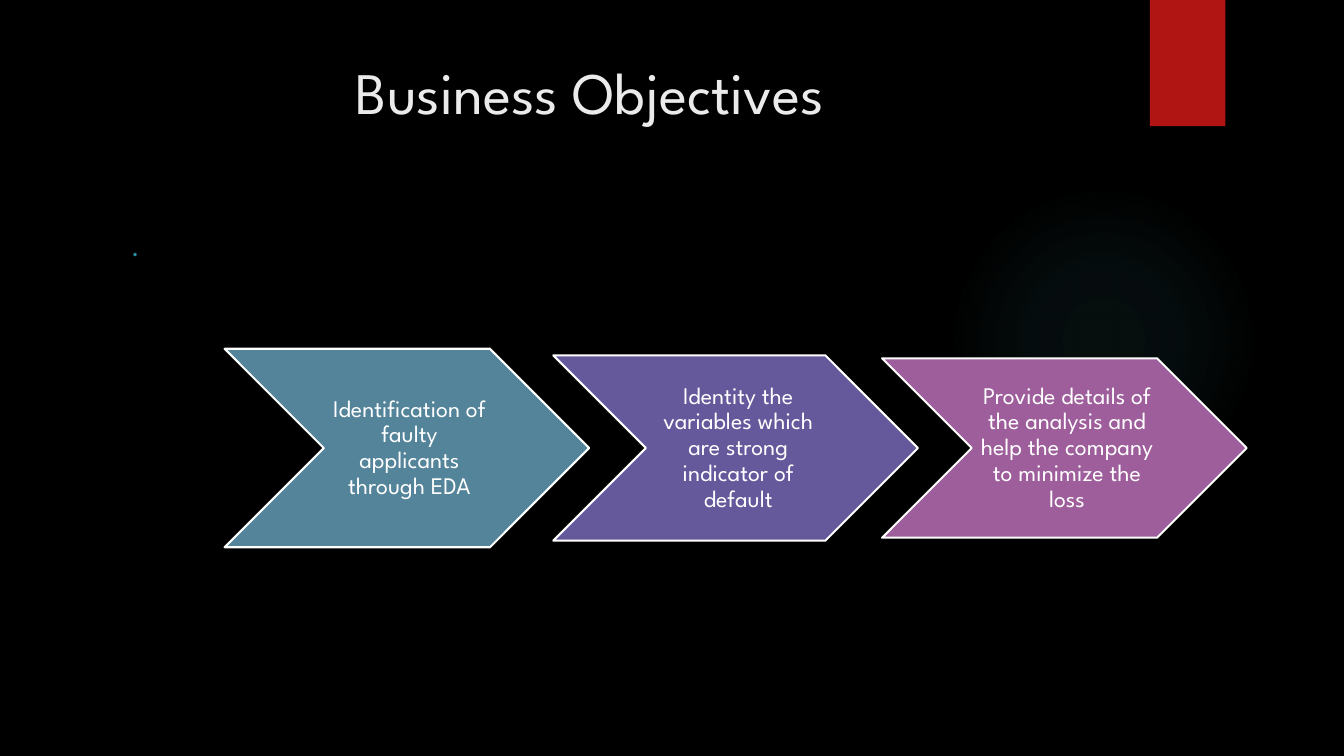
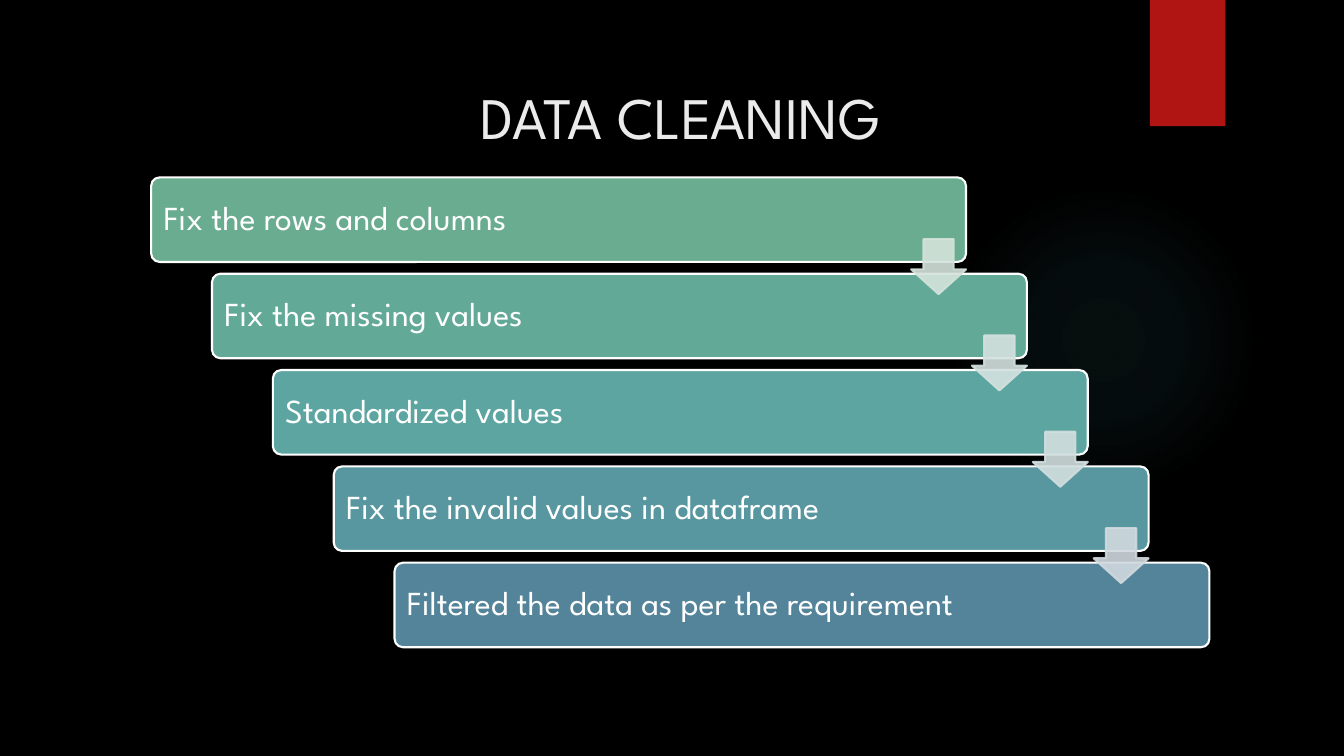
from lxml import etree
from pptx import Presentation
from pptx.dml.color import RGBColor
from pptx.enum.shapes import MSO_SHAPE
from pptx.enum.text import MSO_ANCHOR, PP_ALIGN
from pptx.oxml import parse_xml
from pptx.oxml.ns import nsdecls, qn
from pptx.util import Cm, Pt

CHEVRON, STEP, ARROW = MSO_SHAPE.CHEVRON, MSO_SHAPE.ROUNDED_RECTANGLE, MSO_SHAPE.DOWN_ARROW
OVAL, RECTANGLE = MSO_SHAPE.OVAL, MSO_SHAPE.RECTANGLE
TOP, MIDDLE = MSO_ANCHOR.TOP, MSO_ANCHOR.MIDDLE
LEFT, CENTER = PP_ALIGN.LEFT, PP_ALIGN.CENTER
HEADING_FONT, BODY_FONT = "League Spartan", "Calibri"

COLORS = {
    "background": "000000", "glow": "50B9C1", "ribbon": "B01513",
    "title": "EBEBEB", "body": "2791A6", "white": "FFFFFF",
}
OBJECTIVES = [
    ("Identification of faulty applicants through EDA", "54849A", 5.0),
    ("Identity the variables which are strong indicator of default", "65599C", 4.67),
    ("Provide details of the analysis and help the company to minimize the loss", "9E5E9B", 4.52),
]
CLEANING_STEPS = [
    ("Fix the rows and columns", "6AAC90"),
    ("Fix the missing values", "63A998"),
    ("Standardized values", "5DA5A1"),
    ("Fix the invalid values in dataframe", "5897A0"),
    ("Filtered the data as per the requirement", "54849A"),
]
ARROW_COLORS = ["D4E3DB", "D3E1DE", "D2DEDF", "D1D9DE"]


def rgb(color):
    """Turn a hex string into a colour."""
    return RGBColor.from_string(color)


def write(shape, text, size, color, align=LEFT, anchor=TOP, font=HEADING_FONT,
          insets=(0.25, 0.13, 0.25, 0.13), spacing=None):
    """Set and format the text of a shape, with insets in centimetres."""
    frame = shape.text_frame
    frame.text = text
    frame.word_wrap = True
    frame.vertical_anchor = anchor
    (frame.margin_left, frame.margin_top,
     frame.margin_right, frame.margin_bottom) = map(Cm, insets)
    paragraph = frame.paragraphs[0]
    paragraph.alignment = align
    paragraph.line_spacing = spacing
    for run in paragraph.runs:
        run.font.name = font
        run.font.size = Pt(size)
        run.font.color.rgb = rgb(color)


def add_block(slide, preset, box, color, outline=None, adjustments=()):
    """Add a filled preset shape in a box given in centimetres."""
    block = slide.shapes.add_shape(preset, *map(Cm, box))
    block.shadow.inherit = False
    block.fill.solid()
    block.fill.fore_color.rgb = rgb(color)
    if outline:
        block.line.color.rgb = rgb(outline)
        block.line.width = Pt(1.5)
    else:
        block.line.fill.background()
    for index, value in enumerate(adjustments):
        block.adjustments[index] = value
    return block


def add_text(slide, box, text, size, color, **style):
    """Add a text box in a box given in centimetres."""
    write(slide.shapes.add_textbox(*map(Cm, box)), text, size, color, **style)


def add_glow(slide, box):
    """Add a circle of light that fades out from its centre."""
    glow = add_block(slide, OVAL, box, COLORS["glow"])
    stops = "".join(
        f'<a:gs pos="{position}000"><a:srgbClr val="{COLORS["glow"]}">'
        f'<a:alpha val="{alpha}000"/></a:srgbClr></a:gs>'
        for position, alpha in ((0, 7), (36, 6), (69, 0), (100, 0)))
    gradient = parse_xml(
        f'<a:gradFill {nsdecls("a")}><a:gsLst>{stops}</a:gsLst><a:path path="circle">'
        '<a:fillToRect l="50000" t="50000" r="50000" b="50000"/></a:path></a:gradFill>')
    properties = glow._element.spPr
    properties.replace(properties.find(qn("a:solidFill")), gradient)


def add_base_slide(deck, title, title_box):
    """Add a slide with the shared backdrop, ribbon and title."""
    slide = deck.slides.add_slide(deck.slide_layouts[6])
    slide.background.fill.solid()
    slide.background.fill.fore_color.rgb = rgb(COLORS["background"])
    add_glow(slide, (23.9, 4.65, 7.82, 7.82))
    add_block(slide, RECTANGLE, (28.98, 0, 1.9, 3.18), COLORS["ribbon"])
    add_text(slide, title_box, title, 42, COLORS["title"], align=CENTER)
    return slide


def add_chevron_row(slide, box, objectives):
    """Spread chevrons over a box, centred on its middle line."""
    left, top, width, height = box
    chevron_width = 9.19
    pitch = (width - chevron_width) / (len(objectives) - 1)
    for index, (text, color, chevron_height) in enumerate(objectives):
        place = (left + index * pitch, top + (height - chevron_height) / 2,
                 chevron_width, chevron_height)
        chevron = add_block(slide, CHEVRON, place, color, COLORS["white"], (0.5,))
        write(chevron, text, 17, COLORS["white"], align=CENTER, anchor=MIDDLE,
              insets=(0.18, 0.05, 0.05, 0.05), spacing=0.9)


def add_staircase(slide, box, steps, arrow_colors):
    """Fill a box with descending steps joined by translucent arrows."""
    left, top, width, height = box
    step_width, step_height = 0.77 * width, 0.18 * height
    shift = (width - step_width) / (len(steps) - 1)
    drop = (height - step_height) / (len(steps) - 1)
    for index, (text, color) in enumerate(steps):
        place = (left + index * shift, top + index * drop, step_width, step_height)
        step = add_block(slide, STEP, place, color, COLORS["white"], (0.1,))
        write(step, text, 24, COLORS["white"], anchor=MIDDLE,
              insets=(0.25,) * 4, spacing=0.9)
    arrow_size = 0.65 * step_height
    for index, color in enumerate(arrow_colors):
        place = (left + index * shift + step_width - arrow_size,
                 top + index * drop + 0.73 * step_height, arrow_size, arrow_size)
        arrow = add_block(slide, ARROW, place, color, color, (0.55, 0.45))
        for tint in arrow._element.spPr.iter(qn("a:srgbClr")):
            etree.SubElement(tint, qn("a:alpha")).set("val", "90000")


def build_objectives(deck):
    """Build the slide of business objectives."""
    slide = add_base_slide(deck, "Business Objectives", (1.8, 1.27, 26.14, 3.89))
    add_text(slide, (3.07, 5.72, 24.84, 11.66), ".", 20, COLORS["body"],
             font=BODY_FONT, spacing=0.9)
    add_chevron_row(slide, (5.66, 8.79, 25.76, 5.0), OBJECTIVES)


def build_cleaning(deck):
    """Build the slide of data cleaning steps."""
    slide = add_base_slide(deck, "DATA CLEANING", (3.81, 1.9, 26.67, 2.13))
    add_staircase(slide, (3.81, 4.47, 26.67, 11.84), CLEANING_STEPS, ARROW_COLORS)


def main():
    """Build and save the deck."""
    deck = Presentation()
    deck.slide_width, deck.slide_height = Cm(33.87), Cm(19.05)
    build_objectives(deck)
    build_cleaning(deck)
    deck.save("out.pptx")


if __name__ == "__main__":
    main()
